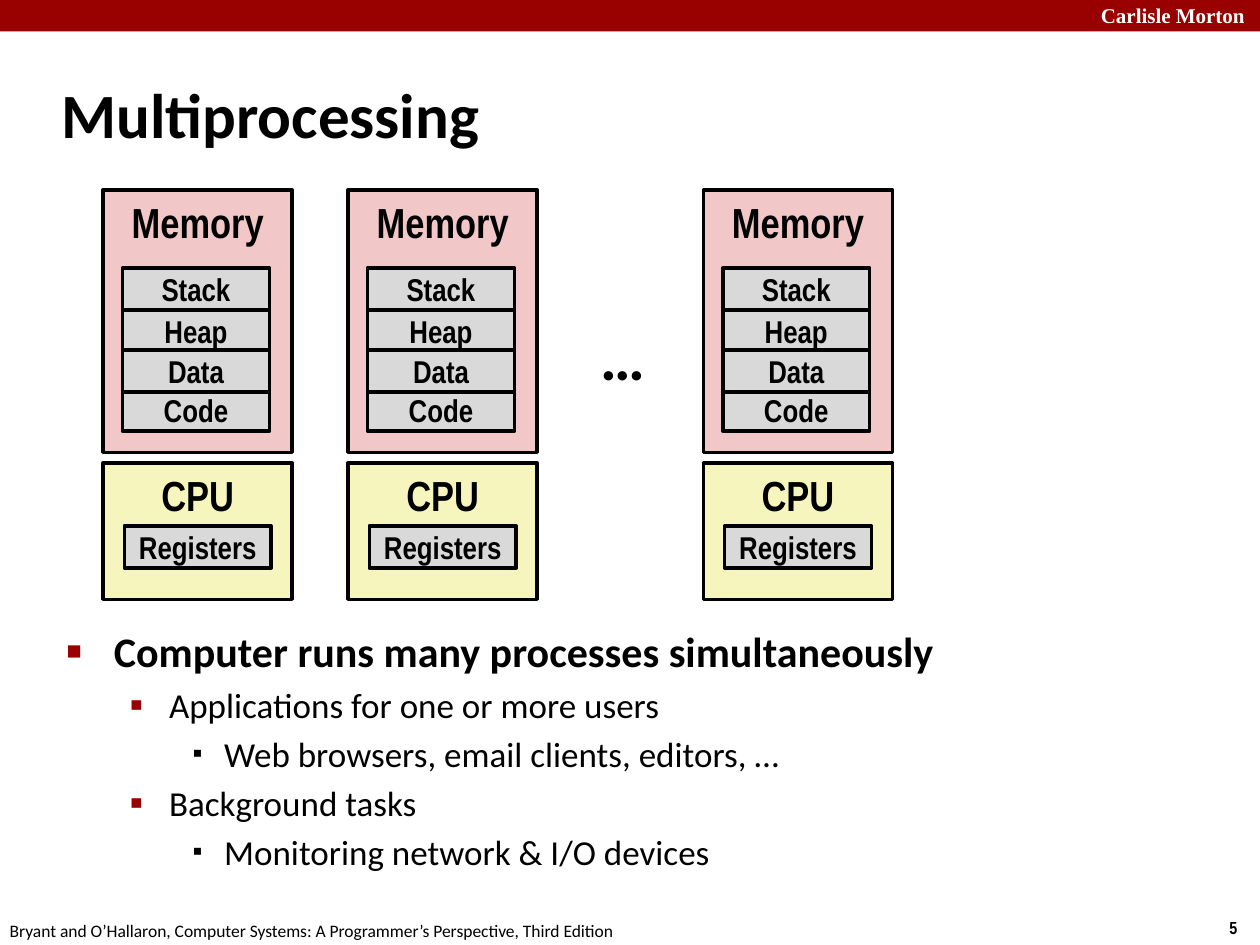
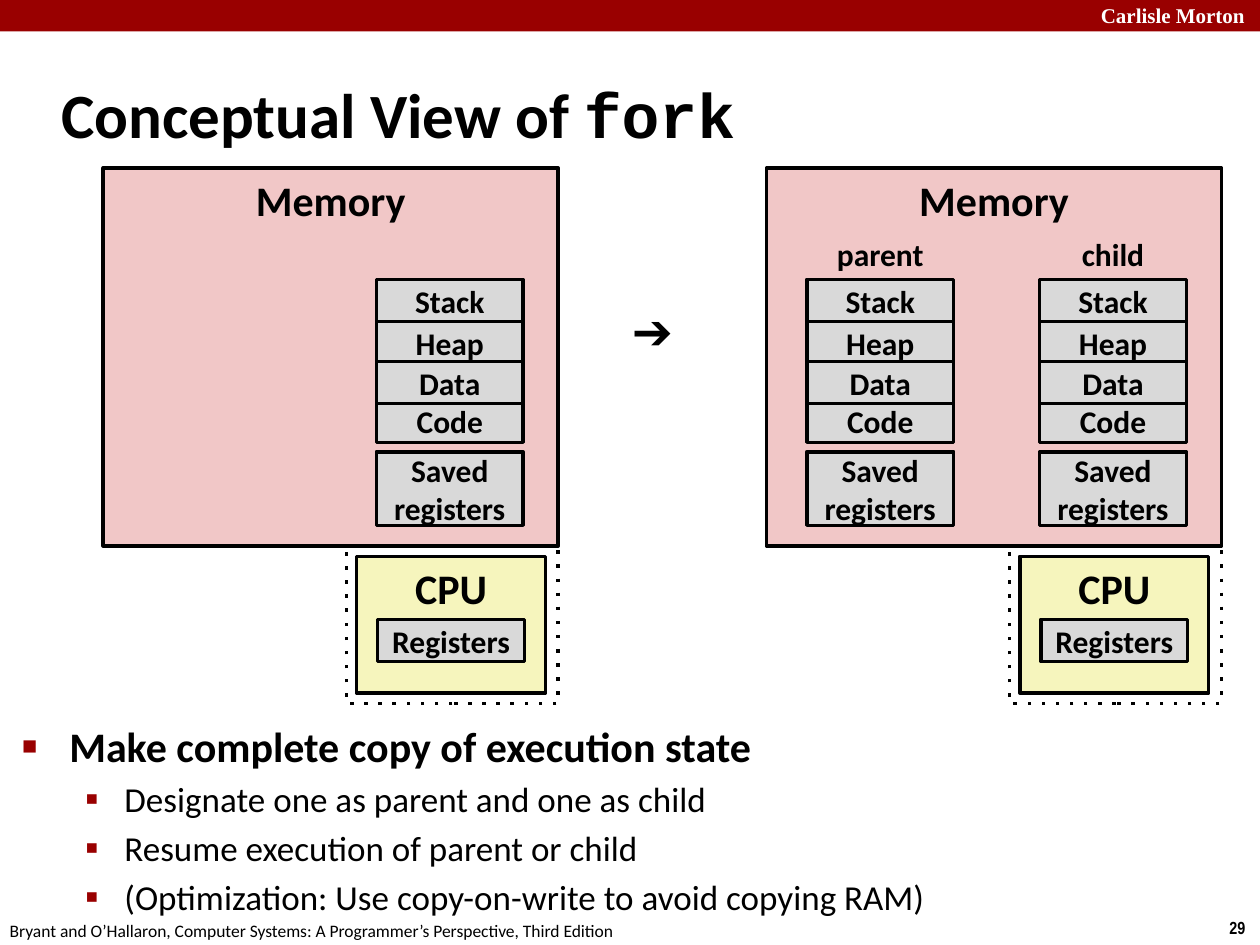
import pptx
import pptx.util
import pptx.dml.color
import pptx.enum.shapes
import pptx.enum.text
import pptx.oxml
import pptx.oxml.ns

Pt = pptx.util.Pt
ALIGN = pptx.enum.text.PP_ALIGN
ANCHOR = pptx.enum.text.MSO_ANCHOR

COLORS = {
    "band": "990000",
    "memory": "F1C7C7",
    "cpu": "F6F5BD",
    "segment": "D9D9D9",
    "text": "000000",
    "light": "FFFFFF",
}
BULLETS = [
    dict(char="■", scale=60, color="band", left=27, hang=27, size=24, bold=True),
    dict(char="▪", scale=110, color="band", left=58.5, hang=22.5, size=20, bold=False),
    dict(char="▪", scale=80, color="text", left=90, hang=18, size=20, bold=False),
]
SEGMENTS = [("Stack", 0), ("Heap", 24), ("Code", 69), ("Data", 46.75)]
SEGMENT_W, SEGMENT_H = 84, 24
CPU_W, CPU_H, CPU_GAP = 108, 78, 6


def rgb(name):
    """Return the named colour."""
    return pptx.dml.color.RGBColor.from_string(COLORS[name])


def add_run(p, text, size=18, font="Calibri", bold=True, color="text"):
    """Append formatted text to a paragraph."""
    r = p.add_run()
    r.text = text
    r.font.size = Pt(size)
    r.font.name = font
    r.font.bold = bold
    r.font.color.rgb = rgb(color)


def add_text(slide, box, text, align=ALIGN.LEFT, anchor=ANCHOR.TOP, **fmt):
    """Add a wrapped text box and return its text frame."""
    tf = slide.shapes.add_textbox(*map(Pt, box)).text_frame
    tf.word_wrap = True
    tf.vertical_anchor = anchor
    tf.paragraphs[0].alignment = align
    add_run(tf.paragraphs[0], text, **fmt)
    return tf


def add_rect(slide, box, fill=None, line=True, text="", anchor=ANCHOR.TOP, **fmt):
    """Add a rectangle with an optional centred label."""
    sp = slide.shapes.add_shape(pptx.enum.shapes.MSO_SHAPE.RECTANGLE, *map(Pt, box))
    sp.shadow.inherit = False
    if fill:
        sp.fill.solid()
        sp.fill.fore_color.rgb = rgb(fill)
    else:
        sp.fill.background()
    if line:
        sp.line.color.rgb = rgb("text")
        sp.line.width = Pt(2)
    else:
        sp.line.fill.background()
    if text:
        tf = sp.text_frame
        tf.word_wrap = True
        tf.vertical_anchor = anchor
        tf.paragraphs[0].alignment = ALIGN.CENTER
        add_run(tf.paragraphs[0], text, **fmt)
    return sp


def add_segment(slide, x, y, text, font, h=SEGMENT_H):
    """Add one grey labelled cell."""
    add_rect(slide, (x, y, SEGMENT_W, h), "segment", text=text,
             anchor=ANCHOR.MIDDLE, font=font)


def add_process(slide, x, y, font, saved=False):
    """Stack the memory segments of one process, with saved registers if asked."""
    for name, dy in SEGMENTS:
        add_segment(slide, x, y + dy, name, font)
    if saved:
        add_segment(slide, x, y + 98.5, "Saved registers", font, h=42)


def add_memory(slide, box, font):
    """Add a memory block."""
    add_rect(slide, box, "memory", text="Memory", size=24, font=font)


def add_cpu(slide, x, y, font):
    """Add a CPU block with its registers."""
    add_rect(slide, (x, y, CPU_W, CPU_H), "cpu", text="CPU", size=24, font=font)
    add_segment(slide, x + 12, y + 36, "Registers", font)


def add_core(slide, x, y):
    """Add a memory block holding one process above its own CPU."""
    font, h = "Arial Narrow", 150
    add_cpu(slide, x, y + h + CPU_GAP, font)
    add_memory(slide, (x, y, CPU_W, h), font)
    add_process(slide, x + 11, y + 44.75, font)


def add_machine(slide, x, y, processes):
    """Add a wide memory with (label, offset) processes and a dotted CPU group."""
    font, w, h, group_w = "Calibri", 260, 216, 121
    group = add_rect(slide, (x + w - group_w, y + 35, group_w, 271))
    group.line.dash_style = pptx.enum.dml.MSO_LINE.ROUND_DOT
    dash = group.line._ln.find(pptx.oxml.ns.qn("a:prstDash"))
    dash.set("val", "dot")
    add_cpu(slide, x + 144.75, y + h + CPU_GAP, font)
    add_memory(slide, (x, y, w, h), font)
    for label, dx in processes:
        add_process(slide, x + dx, y + 63.75, font, saved=True)
        if label:
            add_text(slide, (x + dx, y + 35, SEGMENT_W, 29), label, align=ALIGN.CENTER)


def add_bullets(slide, box, items):
    """Add a bulleted list of (level, text) items."""
    tf = slide.shapes.add_textbox(*map(Pt, box)).text_frame
    tf.word_wrap = True
    for i, (level, text) in enumerate(items):
        style = BULLETS[level]
        p = tf.paragraphs[0] if i == 0 else tf.add_paragraph()
        p.level = level
        p.space_before = Pt(style["size"] * 0.2)
        add_run(p, text, size=style["size"], bold=style["bold"])
        pPr = p._p.get_or_add_pPr()
        pPr.set("marL", str(Pt(style["left"])))
        pPr.set("indent", str(-Pt(style["hang"])))
        ns = pptx.oxml.ns.nsdecls("a")
        for xml in (
            f'<a:buClr {ns}><a:srgbClr val="{COLORS[style["color"]]}"/></a:buClr>',
            f'<a:buSzPct {ns} val="{style["scale"] * 1000}"/>',
            f'<a:buFont {ns} typeface="Arial"/>',
            f'<a:buChar {ns} char="{style["char"]}"/>',
        ):
            pPr.append(pptx.oxml.parse_xml(xml))


def add_frame(prs, title, number):
    """Add a slide with band, title and footer; return it and the title paragraph."""
    slide = prs.slides.add_slide(prs.slide_layouts[6])
    add_rect(slide, (0, 0, 720, 18), "band", line=False)
    add_text(slide, (622, -2, 103, 22), "Carlisle Morton", size=12,
             font="Times New Roman", color="light")
    add_text(slide, (695.5, 520.5, 25, 19.5), number, size=10, font="Arial Narrow")
    add_text(slide, (-1.5, 522, 366, 19.5),
             "Bryant and O’Hallaron, Computer Systems: A Programmer’s Perspective, Third Edition",
             size=10, bold=False)
    tf = add_text(slide, (28, 34.5, 598, 60), title, anchor=ANCHOR.MIDDLE, size=36)
    return slide, tf.paragraphs[0]


def build_multiprocessing(prs):
    """Build the slide with several memory and CPU pairs."""
    slide, _ = add_frame(prs, "Multiprocessing", "5")
    add_bullets(slide, (31, 354, 622, 156), [
        (0, "Computer runs many processes simultaneously"),
        (1, "Applications for one or more users"),
        (2, "Web browsers, email clients, editors, …"),
        (1, "Background tasks"),
        (2, "Monitoring network & I/O devices"),
    ])
    for x in (59, 199, 402):
        add_core(slide, x, 108.5)
    add_text(slide, (336, 178, 50, 51), "…", size=36)


def build_fork(prs):
    """Build the slide showing memory before and after fork."""
    slide, p = add_frame(prs, "Conceptual View of ", "29")
    add_run(p, "fork", size=36, font="Courier New")
    add_bullets(slide, (5.5, 408, 622, 104), [
        (0, "Make complete copy of execution state"),
        (1, "Designate one as parent and one as child"),
        (1, "Resume execution of parent or child"),
        (1, "(Optimization: Use copy-on-write to avoid copying RAM)"),
    ])
    add_machine(slide, 59, 96, [("", 156)])
    add_machine(slide, 438, 96, [("parent", 23), ("child", 156)])
    add_text(slide, (354, 168, 46, 41), "➔", size=28, font="Arial")


def main():
    """Build and save the deck."""
    prs = pptx.Presentation()
    prs.slide_width, prs.slide_height = Pt(720), Pt(540)
    build_multiprocessing(prs)
    build_fork(prs)
    prs.save("out.pptx")


if __name__ == "__main__":
    import pptx.enum.dml
    main()
